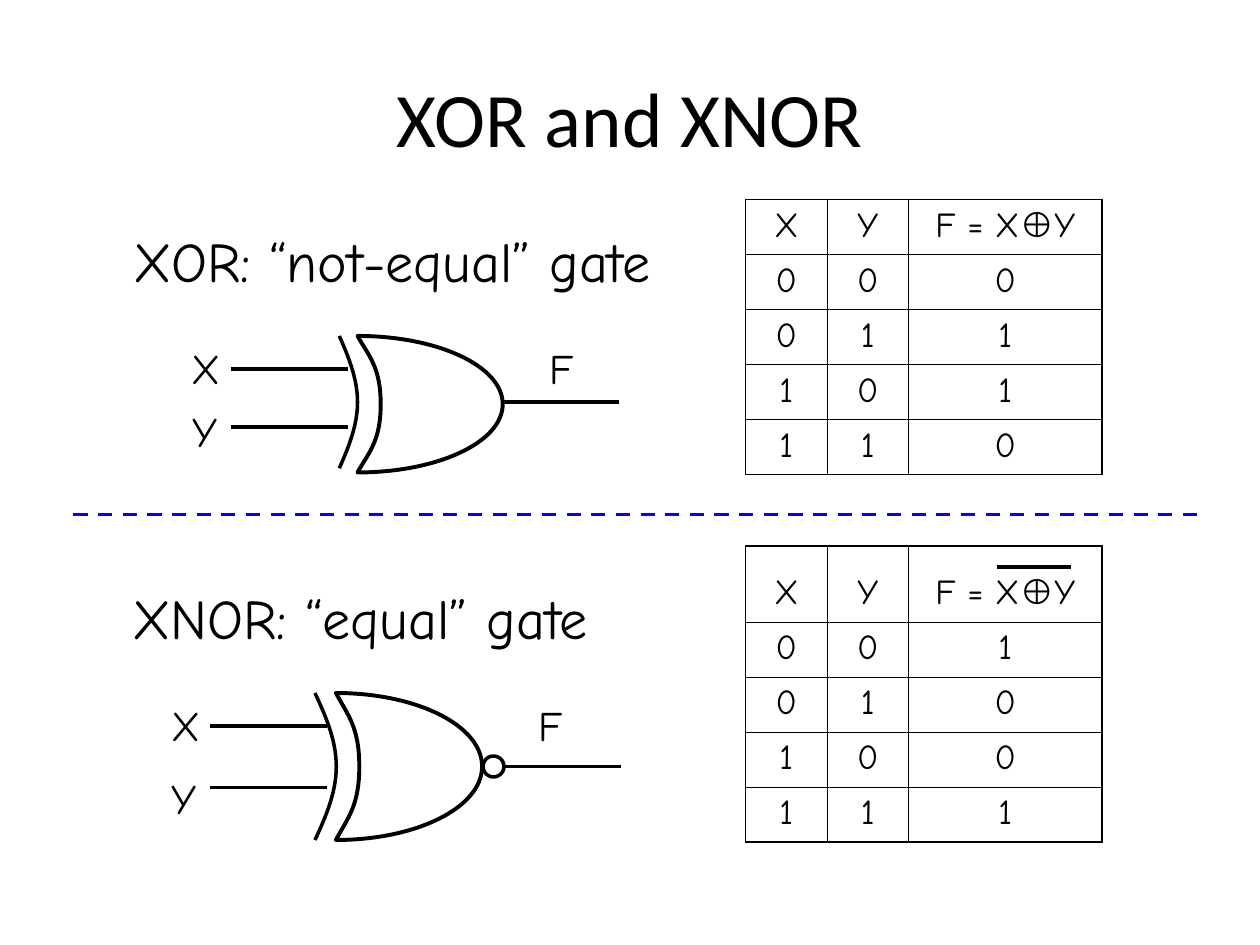
from dataclasses import dataclass
from itertools import product

from lxml.etree import SubElement
from pptx import Presentation
from pptx.dml.color import RGBColor
from pptx.enum.dml import MSO_LINE
from pptx.enum.shapes import MSO_CONNECTOR, MSO_SHAPE
from pptx.enum.text import MSO_ANCHOR as Anchor, MSO_AUTO_SIZE as AutoSize, PP_ALIGN as Align
from pptx.oxml import parse_xml
from pptx.oxml.ns import nsdecls, qn
from pptx.util import Pt


@dataclass(frozen=True)
class Theme:
    ink: str = "000000"
    divider: str = "0000FF"
    title_font: str = "Calibri"
    body_font: str = "Comic Neue"
    symbol_font: str = "Arial"
    title_size: float = 44
    heading_size: float = 32
    label_size: float = 24
    table_size: float = 20
    body_line: float = 2.25
    wire_line: float = 2
    outer_border: float = 1.08
    inner_border: float = 0.45


# Cubic segments in a unit square: two control points and an end point each.
GATE_BODY = [
    ((0.08, 0.15), (0.16, 0.23), (0.16, 0.5)),
    ((0.16, 0.77), (0.08, 0.85), (0, 1)),
    ((0.55, 1), (1, 0.78), (1, 0.5)),
    ((1, 0.22), (0.55, 0), (0, 0)),
]
INPUT_ARC = [
    ((0.55, 0.17), (1, 0.33), (1, 0.5)),
    ((1, 0.67), (0.55, 0.83), (0, 1)),
]
LABEL_WIDTHS = {"X": 31, "Y": 28.8, "F": 28.1}


def write(para, text, font, size, color, align=Align.LEFT):
    para.alignment = align
    span = para.add_run()
    span.text = text
    span.font.name = font
    span.font.size = Pt(size)
    span.font.color.rgb = RGBColor.from_string(color)


class Painter:
    def __init__(self, page, theme):
        self.page = page
        self.theme = theme

    def stroke(self, line, width, color=None):
        line.color.rgb = RGBColor.from_string(color or self.theme.ink)
        line.width = Pt(width)

    def title(self, text, left, top, width, height):
        box = self.page.shapes.add_textbox(Pt(left), Pt(top), Pt(width), Pt(height))
        box.text_frame.word_wrap = True
        box.text_frame.vertical_anchor = Anchor.MIDDLE
        write(box.text_frame.paragraphs[0], text, self.theme.title_font,
              self.theme.title_size, self.theme.ink, Align.CENTER)

    def text(self, text, left, top, width, height, size):
        box = self.page.shapes.add_textbox(Pt(left), Pt(top), Pt(width), Pt(height))
        box.text_frame.word_wrap = False
        box.text_frame.auto_size = AutoSize.SHAPE_TO_FIT_TEXT
        write(box.text_frame.paragraphs[0], text, self.theme.body_font, size,
              self.theme.ink)

    def label(self, text, left, top):
        self.text(text, left, top, LABEL_WIDTHS[text], 36, self.theme.label_size)

    def line(self, x1, y1, x2, y2, color=None, dash=None):
        wire = self.page.shapes.add_connector(
            MSO_CONNECTOR.STRAIGHT, Pt(x1), Pt(y1), Pt(x2), Pt(y2))
        self.stroke(wire.line, self.theme.wire_line, color)
        if dash:
            wire.line.dash_style = dash
        SubElement(wire._element.spPr, qn("a:effectLst"))

    def curve(self, segments, left, top, width, height, line_width, close):
        """Draw a freeform through the end points, then bend each side."""
        builder = self.page.shapes.build_freeform(Pt(left), Pt(top))
        builder.add_line_segments(
            [(Pt(left + x * width), Pt(top + y * height))
             for *_, (x, y) in segments], close=close)
        shape = builder.convert_to_shape()
        sides = list(shape._element.iter(qn("a:lnTo")))
        for side, controls in zip(sides, segments):
            side.tag = qn("a:cubicBezTo")
            for point in list(side):
                side.remove(point)
            for x, y in controls:
                SubElement(side, qn("a:pt"), x=str(Pt(x * width)), y=str(Pt(y * height)))
        self.outline(shape, line_width)

    def bubble(self, left, top, size):
        circle = self.page.shapes.add_shape(
            MSO_SHAPE.OVAL, Pt(left), Pt(top), Pt(size), Pt(size))
        self.outline(circle, self.theme.wire_line)

    def outline(self, shape, width):
        shape.fill.background()
        shape.shadow.inherit = False
        self.stroke(shape.line, width)

    def gate(self, body, arc, inputs, output):
        """Body and arc are (left, top, width, height); wires are (x1, x2, ys)."""
        self.curve(GATE_BODY, *body, self.theme.body_line, True)
        self.curve(INPUT_ARC, *arc, self.theme.wire_line, False)
        for x1, x2, levels in (inputs, output):
            for y in levels:
                self.line(x1, y, x2, y)

    def truth_table(self, left, top, results, header_extra=0):
        theme = self.theme
        columns, row_height = (46.6, 46.6, 110.6), 31.43
        plain = theme.body_font
        header = [[("X", plain)], [("Y", plain)],
                  [("F = X", plain), ("⊕", theme.symbol_font), ("Y", plain)]]
        rows = [header] + [
            [[(str(value), plain)] for value in (*pair, result)]
            for pair, result in zip(product((0, 1), repeat=2), results)]
        table = self.page.shapes.add_table(
            len(rows), len(columns), Pt(left), Pt(top), Pt(sum(columns)),
            Pt(row_height * len(rows) + header_extra)).table
        table.first_row = table.horz_banding = False
        for column, width in zip(table.columns, columns):
            column.width = Pt(width)
        for r, row in enumerate(rows):
            extra = 0 if r else header_extra
            table.rows[r].height = Pt(row_height + extra)
            for c, spans in enumerate(row):
                cell = table.cell(r, c)
                cell.margin_top = Pt(3.6 + extra)
                cell.fill.background()
                for text, font in spans:
                    write(cell.text_frame.paragraphs[0], text, font,
                          theme.table_size, theme.ink, Align.CENTER)
                self.borders(cell, L=c == 0, R=c == len(columns) - 1,
                             T=r == 0, B=r == len(rows) - 1)

    def borders(self, cell, **outer_sides):
        """Each keyword is a side, true where it lies on the table's edge."""
        properties = cell._tc.get_or_add_tcPr()
        for index, (side, outer) in enumerate(outer_sides.items()):
            width = self.theme.outer_border if outer else self.theme.inner_border
            properties.insert(index, parse_xml(
                f'<a:ln{side} {nsdecls("a")} w="{Pt(width)}"><a:solidFill>'
                f'<a:srgbClr val="{self.theme.ink}"/></a:solidFill></a:ln{side}>'))


def main():
    deck = Presentation()
    deck.slide_width, deck.slide_height = Pt(720), Pt(540)
    theme = Theme()
    painter = Painter(deck.slides.add_slide(deck.slide_layouts[6]), theme)

    painter.title("XOR and XNOR", 0, 21.6, 720, 90)
    painter.truth_table(426, 114, (0, 1, 1, 0))
    painter.gate((204.3, 192, 83, 78), (193.9, 192, 10.4, 75.6),
                 inputs=(199, 132, (211, 244)), output=(354, 287, (229.8,)))
    painter.label("Y", 102.7, 228)
    painter.label("F", 306.7, 192)
    painter.text("XOR: “not-equal” gate", 69, 126, 311.8, 84, theme.heading_size)

    painter.gate((192, 396, 83.5, 84), (180, 396, 12.2, 84),
                 inputs=(187, 120, (415, 450)), output=(355, 288, (438,)))
    painter.truth_table(426, 312, (1, 0, 0, 1), header_extra=12)
    for text, left, top in (("X", 90.7, 396), ("Y", 90.7, 438), ("F", 300.5, 396)):
        painter.label(text, left, top)
    painter.text("XNOR: “equal” gate", 68.4, 330, 275.8, 84, theme.heading_size)

    painter.line(42, 294, 684, 294, theme.divider, MSO_LINE.DASH)
    painter.line(570, 324, 612, 324)
    painter.bubble(276, 432, 12)
    painter.label("X", 102.2, 192)

    deck.save("out.pptx")


if __name__ == "__main__":
    main()
